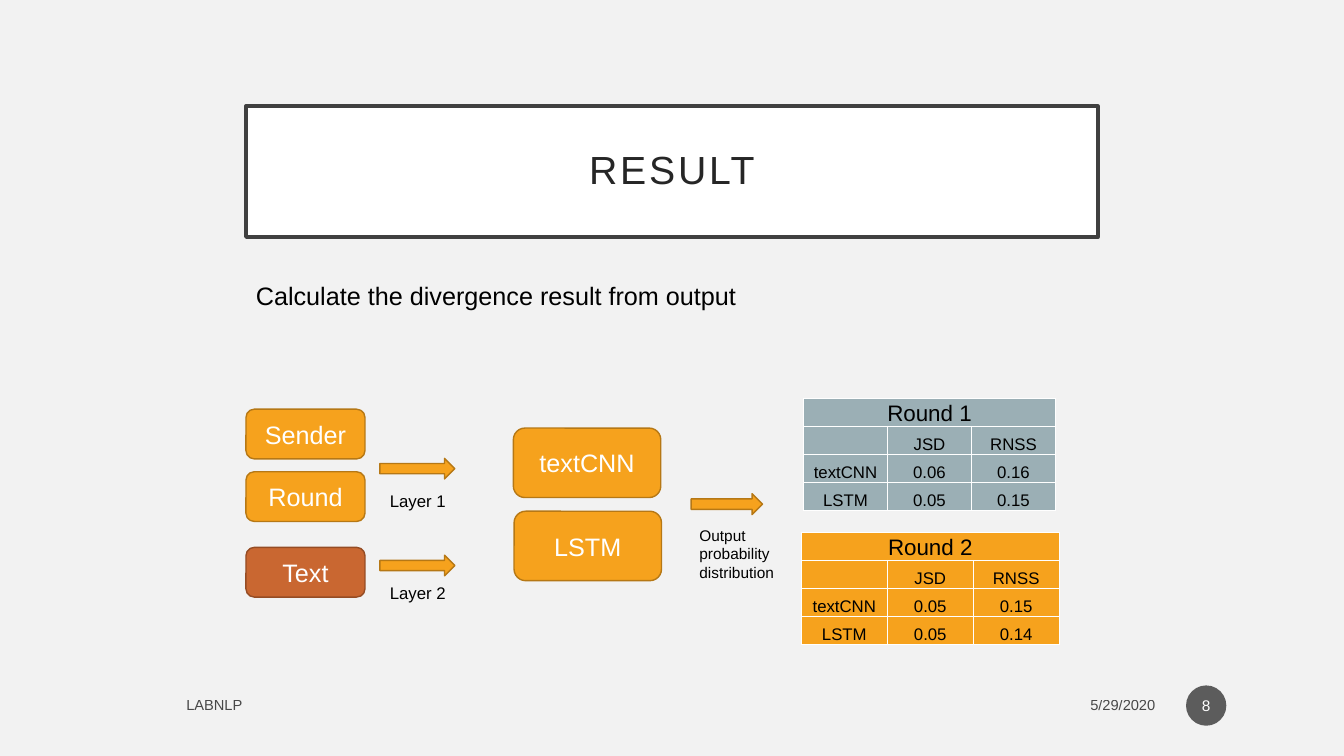
from dataclasses import dataclass
from lxml.etree import SubElement
from pptx import Presentation
from pptx.dml.color import RGBColor
from pptx.enum.shapes import MSO_SHAPE
from pptx.enum.text import MSO_ANCHOR, PP_ALIGN
from pptx.oxml.ns import qn
from pptx.util import Pt

FONT = "Arial"
BLACK = RGBColor(0x00, 0x00, 0x00)
WHITE = RGBColor(0xFF, 0xFF, 0xFF)
PAPER = RGBColor(0xF2, 0xF2, 0xF2)
INK = RGBColor(0x26, 0x26, 0x26)
FRAME = RGBColor(0x40, 0x40, 0x40)
DISC = RGBColor(0x1D, 0x1D, 0x1D)
AMBER = RGBColor(0xF6, 0xA2, 0x1D)
BROWN = RGBColor(0xB6, 0x78, 0x15)
RUST = RGBColor(0xC9, 0x67, 0x31)
UMBER = RGBColor(0x95, 0x4C, 0x24)
STEEL = RGBColor(0x9B, 0xAF, 0xB5)

LEFT, CENTER, RIGHT = PP_ALIGN.LEFT, PP_ALIGN.CENTER, PP_ALIGN.RIGHT
TOP, MIDDLE = MSO_ANCHOR.TOP, MSO_ANCHOR.MIDDLE


@dataclass
class Area:
    left: float
    top: float
    width: float
    height: float

    def pts(self) -> list:
        return [Pt(v) for v in (self.left, self.top, self.width, self.height)]


@dataclass
class Label:
    area: Area
    lines: list
    size: float
    align: PP_ALIGN = LEFT
    anchor: MSO_ANCHOR = TOP
    faded: bool = False


@dataclass
class Node:
    area: Area
    text: str
    fill: RGBColor = AMBER
    line: RGBColor = BROWN


@dataclass
class Grid:
    left: float
    top: float
    column: float
    fill: RGBColor
    title: str
    rows: list


def write(frame, lines: list, size: float, color: RGBColor, align: PP_ALIGN) -> None:
    for i, text in enumerate(lines):
        para = frame.paragraphs[0] if i == 0 else frame.add_paragraph()
        para.alignment = align
        run = para.add_run()
        run.text = text
        run.font.name = FONT
        run.font.size = Pt(size)
        run.font.color.rgb = color


def inset(frame, x: float, y: float) -> None:
    frame.margin_left = frame.margin_right = Pt(x)
    frame.margin_top = frame.margin_bottom = Pt(y)


def fade(shape, color: RGBColor) -> None:
    """Make every use of the colour 70 % opaque."""
    for node in shape.element.iter(qn("a:srgbClr")):
        if node.get("val") == str(color):
            SubElement(node, qn("a:alpha"), val="70000")


def draw_shape(slide, kind: MSO_SHAPE, area: Area, fill: RGBColor,
               line: RGBColor | None = None, weight: float = 1):
    shape = slide.shapes.add_shape(kind, *area.pts())
    shape.shadow.inherit = False
    shape.fill.solid()
    shape.fill.fore_color.rgb = fill
    if line is None:
        shape.line.fill.background()
    else:
        shape.line.color.rgb = line
        shape.line.width = Pt(weight)
    shape.text_frame.vertical_anchor = MIDDLE
    return shape


def draw_label(slide, label: Label) -> None:
    box = slide.shapes.add_textbox(*label.area.pts())
    box.text_frame.word_wrap = True
    box.text_frame.vertical_anchor = label.anchor
    write(box.text_frame, label.lines, label.size, BLACK, label.align)
    if label.faded:
        fade(box, BLACK)


def draw_node(slide, node: Node) -> None:
    shape = draw_shape(slide, MSO_SHAPE.ROUNDED_RECTANGLE, node.area, node.fill, node.line)
    write(shape.text_frame, [node.text], 18, WHITE, CENTER)


def style_cell(cell, fill: RGBColor) -> None:
    cell.vertical_anchor = MSO_ANCHOR.BOTTOM
    cell.margin_left = cell.margin_right = cell.margin_top = Pt(0.72)
    cell.margin_bottom = Pt(0)
    # White borders go before the fill
    props = cell._tc.get_or_add_tcPr()
    for side in ("lnL", "lnR", "lnT", "lnB"):
        line = SubElement(props, qn(f"a:{side}"), w=str(Pt(1)))
        solid = SubElement(line, qn("a:solidFill"))
        SubElement(solid, qn("a:srgbClr"), val=str(WHITE))
    cell.fill.solid()
    cell.fill.fore_color.rgb = fill


def draw_grid(slide, grid: Grid) -> None:
    data = [[grid.title, "", ""], ["", "JSD", "RNSS"], *grid.rows]
    area = Area(grid.left, grid.top, 3 * grid.column, len(data) * ROW)
    table = slide.shapes.add_table(len(data), 3, *area.pts()).table
    table.first_row = table.horz_banding = False
    for column in table.columns:
        column.width = Pt(grid.column)
    for r, row in enumerate(data):
        table.rows[r].height = Pt(ROW)
        for c, text in enumerate(row):
            cell = table.cell(r, c)
            style_cell(cell, grid.fill)
            if text:
                write(cell.text_frame, [text], 16 if r == 0 else 12, BLACK, CENTER)
            else:
                # Keep empty cells from stretching the row
                para = cell.text_frame.paragraphs[0]
                SubElement(para._p, qn("a:endParaRPr"), sz="1200")
    table.cell(0, 0).merge(table.cell(0, 2))


ROW = 20
EDGE = 175.7
FLOW = 271.4

LABELS = [
    Label(Area(615.6, 491, 216.7, 25.2), ["5/29/2020"], 10.5, RIGHT, MIDDLE, True),
    Label(Area(126, 491, 464.4, 25.2), ["LABNLP"], 10.5, LEFT, MIDDLE, True),
    Label(Area(EDGE, 196.6, 383.8, 29), ["Calculate the divergence result from output"], 18),
    Label(Area(FLOW, 347, 59, 21.8), ["Layer 1"], 12),
    Label(Area(FLOW, 413, 59, 21.8), ["Layer 2"], 12),
    Label(Area(492.5, 372.2, 102.2, 47.5), ["Output", "probability distribution"], 11),
]

NODES = [
    Node(Area(EDGE, 292.3, 85, 35.5), "Sender"),
    Node(Area(EDGE, 337, 85, 35.5), "Round"),
    Node(Area(EDGE, 391, 85, 35.5), "Text", RUST, UMBER),
    Node(Area(366.7, 305.8, 105.3, 49.6), "textCNN"),
    Node(Area(367.2, 365.2, 105.3, 49.6), "LSTM"),
]

ARROWS = [
    Area(FLOW, 327.4, 53.5, 14.7),
    Area(FLOW, 396.6, 53.5, 14.7),
    Area(493.7, 352.6, 51, 15),
]

GRIDS = [
    Grid(574, 284.6, 60, STEEL, "Round 1",
         [["textCNN", "0.06", "0.16"], ["LSTM", "0.05", "0.15"]]),
    Grid(572.4, 380.3, 61.4, AMBER, "Round 2",
         [["textCNN", "0.05", "0.15"], ["LSTM", "0.05", "0.14"]]),
]


def main() -> None:
    deck = Presentation()
    deck.slide_width, deck.slide_height = Pt(960), Pt(540)
    slide = deck.slides.add_slide(deck.slide_layouts[6])
    slide.background.fill.solid()
    slide.background.fill.fore_color.rgb = PAPER

    # Title frame
    title = draw_shape(slide, MSO_SHAPE.RECTANGLE, Area(EDGE, 75.8, 608.6, 93.6),
                       WHITE, FRAME, 2.5)
    inset(title.text_frame, 14.4, 14.4)
    write(title.text_frame, ["RESULT"], 28, INK, CENTER)
    title.text_frame.paragraphs[0].line_spacing = 0.9
    for props in title.element.iter(qn("a:rPr")):
        props.set("spc", "200")

    # Page number
    disc = draw_shape(slide, MSO_SHAPE.OVAL, Area(847.2, 489.6, 28.8, 28.8), DISC)
    inset(disc.text_frame, 1.4, 3.6)
    write(disc.text_frame, ["8"], 11, WHITE, CENTER)
    fade(disc, DISC)

    # Results, flow and captions
    for grid in GRIDS:
        draw_grid(slide, grid)
    for node in NODES:
        draw_node(slide, node)
    for area in ARROWS:
        draw_shape(slide, MSO_SHAPE.RIGHT_ARROW, area, AMBER, BROWN)
    for label in LABELS:
        draw_label(slide, label)

    deck.save("out.pptx")


if __name__ == "__main__":
    main()
